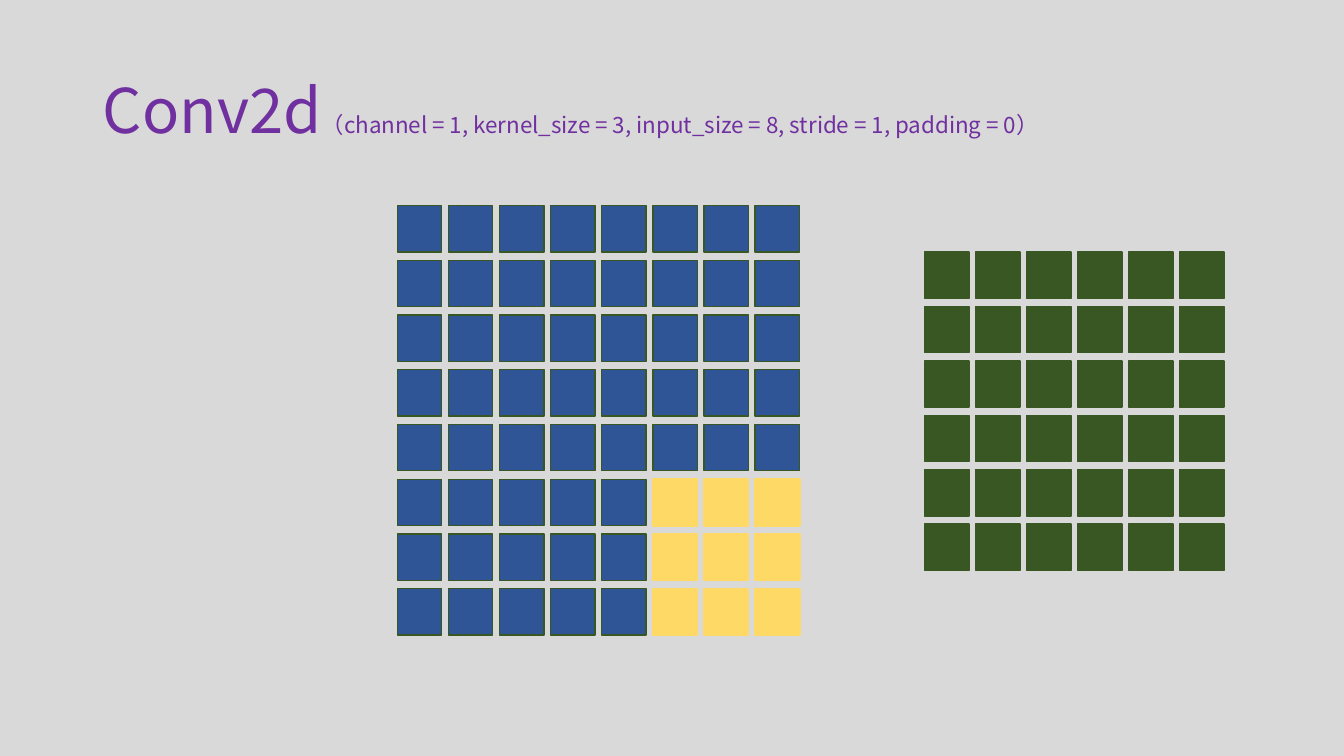
from pptx import Presentation
from pptx.dml.color import RGBColor
from pptx.enum.shapes import MSO_SHAPE as SHAPE
from pptx.enum.text import MSO_ANCHOR as ANCHOR, MSO_AUTO_SIZE as AUTO, PP_ALIGN as ALIGN
from pptx.oxml.ns import qn
from pptx.util import Inches, Pt
from lxml import etree

BLUE, GREEN, YELLOW = "2F5597", "385723", "FFD966"
PURPLE, GREY = "7030A0", "D9D9D9"


def rgb(value):
    return RGBColor.from_string(value)


def set_all(obj, formats):
    for name, value in formats.items():
        setattr(obj, name, value)


class Deck:
    font = "Noto Sans CJK SC"
    cell = (0.44, 0.46)

    def __init__(self, width, height):
        self.prs = Presentation()
        set_all(self.prs, {"slide_width": Inches(width), "slide_height": Inches(height)})

    def add_slide(self, background):
        self.s = self.prs.slides.add_slide(self.prs.slide_layouts[5])
        self.s.background.fill.solid()
        self.s.background.fill.fore_color.rgb = rgb(background)

    def title(self, box, runs, color):
        sp = self.s.shapes.title
        set_all(sp, dict(zip(("left", "top", "width", "height"), map(Inches, box))))
        tf = sp.text_frame
        set_all(tf, {"word_wrap": True, "auto_size": AUTO.NONE,
                     "vertical_anchor": ANCHOR.MIDDLE})
        p = tf.paragraphs[0]
        set_all(p, {"alignment": ALIGN.LEFT, "line_spacing": 0.9})
        for text, size in runs:
            r = p.add_run()
            r.text = text
            set_all(r.font, {"size": Pt(size), "name": self.font})
            r.font.color.rgb = rgb(color)
            ea = etree.SubElement(r.font._element, qn("a:ea"))
            ea.set("typeface", self.font)

    def square(self, x, y, fill, line, weight):
        sp = self.s.shapes.add_shape(SHAPE.RECTANGLE, *map(Inches, (x, y, *self.cell)))
        sp.shadow.inherit = False
        sp.fill.solid()
        sp.fill.fore_color.rgb = rgb(fill)
        sp.line.color.rgb = rgb(line)
        sp.line.width = Pt(weight)

    def grid(self, first, last, count, style_of):
        (x0, y0), (x1, y1) = first, last
        dx, dy = (x1 - x0) / (count - 1), (y1 - y0) / (count - 1)
        for row in range(count):
            for col in range(count):
                self.square(x0 + col * dx, y0 + row * dy, *style_of(row, col))


def input_style(row, col):
    in_kernel = row >= 5 and col >= 5
    return (YELLOW, YELLOW, 1.5) if in_kernel else (BLUE, GREEN, 1)


def output_style(row, col):
    return GREEN, GREEN, 1


def main():
    deck = Deck(13.33, 7.5)
    deck.add_slide(GREY)
    deck.title((0.92, 0.4, 11.5, 1.45), [
        ("Conv2d", 44),
        ("（channel = 1, kernel_size = 3, input_size = 8, stride = 1, padding = 0）", 16),
    ], PURPLE)
    deck.grid((3.94, 2.04), (7.49, 5.84), 8, input_style)
    deck.grid((9.17, 2.5), (11.7, 5.2), 6, output_style)
    deck.prs.save("out.pptx")


if __name__ == "__main__":
    main()
